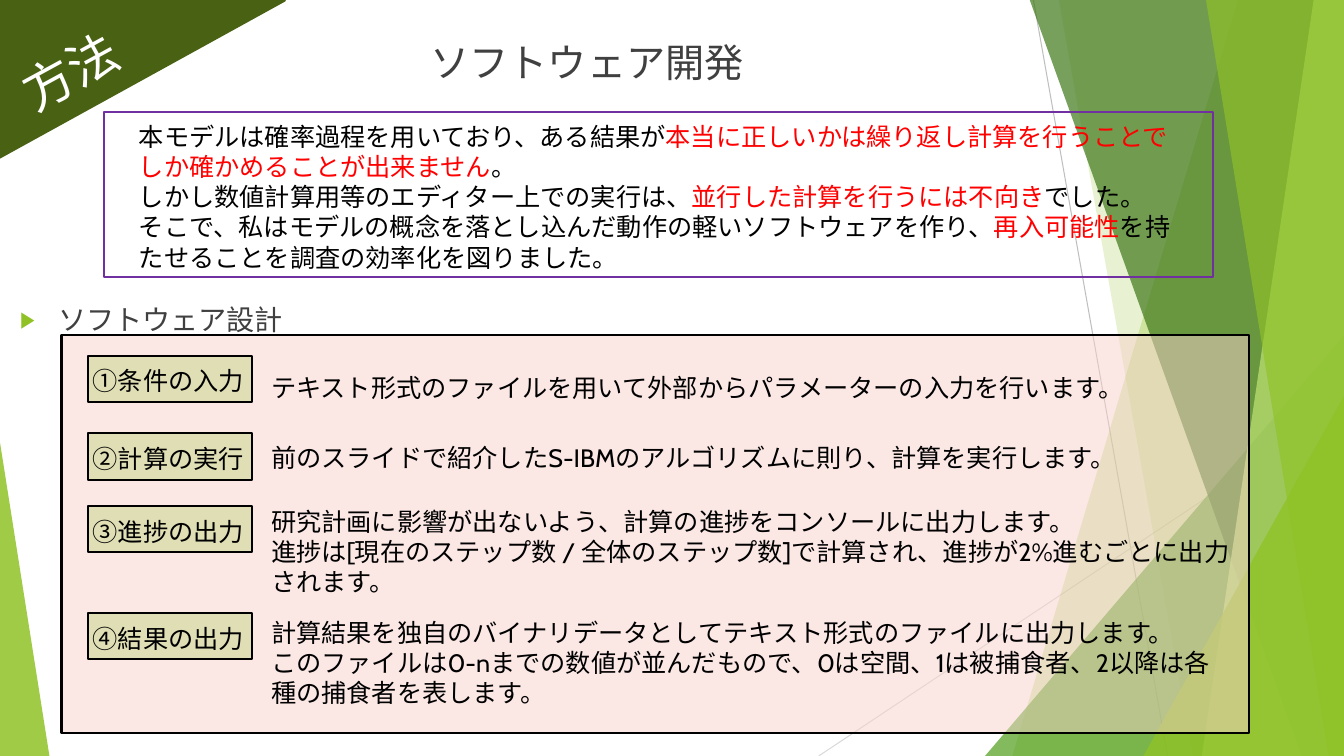
from lxml.etree import SubElement
from pptx import Presentation
from pptx.dml.color import RGBColor
from pptx.enum.shapes import MSO_CONNECTOR, MSO_SHAPE
from pptx.enum.text import MSO_ANCHOR, MSO_AUTO_SIZE, PP_ALIGN
from pptx.oxml.ns import qn
from pptx.util import Inches, Pt

BLACK, RED, WHITE, GREY = "000000", "FF0000", "FFFFFF", "404040"
LIME, OLIVE, PURPLE, PINK = "90C226", "486113", "7030A0", "F8D2CC"
JAPANESE, LATIN = "Noto Sans CJK JP", "Cabin"

TOP, BOTTOM, RIGHT = -0.01, 7.5, 13.33
FACETS = [
    (12.28, 10.04, LIME, 30),
    (10.5, 11.83, LIME, 20),
    (10.21, 12.91, "3F7819", 70),
    (13.03, 11.92, "C0E474", 70),
    (11.96, 13.18, LIME, 65),
]
CORNERS = [
    ((9.77, 3.33, 3.56, 4.17), 1, "54A021", 72),
    ((11.34, 3.93, 1.99, 3.57), 1, LIME, 80),
    ((0, 4.39, 0.49, 3.11), 0, LIME, 85),
]
SUMMARY = [
    [("本モデルは確率過程を用いており、ある結果が", BLACK),
     ("本当に正しいかは繰り返し計算を行うことでしか確かめることが出来ません", RED),
     ("。", BLACK)],
    [("しかし数値計算用等のエディター上での実行は、", BLACK),
     ("並行した計算を行うには不向き", RED), ("でした。", BLACK)],
    [("そこで、私はモデルの概念を落とし込んだ動作の軽いソフトウェアを作り、", BLACK),
     ("再入可能性", RED),
     ("を持たせることを調査の効率化を図りました。", BLACK)],
]
STEPS = [
    (3.53, "①条件の入力", 3.64, 0.4,
     ["テキスト形式のファイルを用いて外部からパラメーターの入力を行います。"]),
    (4.3, "②計算の実行", 4.34, 0.4,
     ["前のスライドで紹介したS-IBMのアルゴリズムに則り、計算を実行します。"]),
    (5.02, "③進捗の出力", 4.97, 1.01,
     ["研究計画に影響が出ないよう、計算の進捗をコンソールに出力します。",
      "進捗は[現在のステップ数 / 全体のステップ数]で計算され、進捗が2%進むごとに出力されます。"]),
    (6.08, "④結果の出力", 6.07, 1.01,
     ["計算結果を独自のバイナリデータとしてテキスト形式のファイルに出力します。",
      "このファイルは0-nまでの数値が並んだもので、0は空間、1は被捕食者、2以降は各種の捕食者を表します。"]),
]


def rgb(color):
    return RGBColor.from_string(color)


def paint(shape, fill=None, opacity=100, line=None):
    shape.shadow.inherit = False
    if fill:
        shape.fill.solid()
        shape.fill.fore_color.rgb = rgb(fill)
        if opacity < 100:
            tint = shape.fill._xPr.find(qn("a:solidFill"))[0]
            SubElement(tint, qn("a:alpha"), val=str(opacity * 1000))
    else:
        shape.fill.background()
    if line:
        shape.line.color.rgb = rgb(line)
        shape.line.width = Pt(1.5)
    else:
        shape.line.fill.background()


def add_box(slide, box, **look):
    rect = slide.shapes.add_shape(MSO_SHAPE.RECTANGLE, *map(Inches, box))
    paint(rect, **look)


def add_triangle(slide, box, apex, rotation=0, **look):
    triangle = slide.shapes.add_shape(MSO_SHAPE.ISOSCELES_TRIANGLE, *map(Inches, box))
    triangle.adjustments[0] = apex
    triangle.rotation = rotation
    paint(triangle, **look)


def add_facet(slide, top_x, bottom_x, color, opacity):
    outline = [(top_x, TOP), (RIGHT, TOP), (RIGHT, BOTTOM), (bottom_x, BOTTOM)]
    start, *others = [(Inches(x), Inches(y)) for x, y in outline]
    builder = slide.shapes.build_freeform(*start)
    builder.add_line_segments(others, close=True)
    paint(builder.convert_to_shape(), color, opacity)


def add_hairline(slide, ends, color):
    hairline = slide.shapes.add_connector(MSO_CONNECTOR.STRAIGHT, *map(Inches, ends))
    hairline.line.color.rgb = rgb(color)
    hairline.line.width = Pt(0.75)
    SubElement(hairline._element.spPr, qn("a:effectLst"))


def style(paragraph, font, size, color=None):
    paragraph.font.name = font
    paragraph.font.size = Pt(size)
    if color:
        paragraph.font.color.rgb = rgb(color)


def add_text(slide, box, paragraphs, font=LATIN, size=18, color=BLACK, rotation=0):
    holder = slide.shapes.add_textbox(*map(Inches, box))
    holder.rotation = rotation
    frame = holder.text_frame
    frame.word_wrap = True
    for index, content in enumerate(paragraphs):
        paragraph = frame.add_paragraph() if index else frame.paragraphs[0]
        if isinstance(content, str):
            paragraph.text = content
            style(paragraph, font, size, color)
            continue
        style(paragraph, font, size)
        for words, run_color in content:
            run = paragraph.add_run()
            run.text = words
            run.font.color.rgb = rgb(run_color)


def fill_placeholder(holder, box, words, size, spacing, anchor, bullet=False):
    holder.left, holder.top, holder.width, holder.height = map(Inches, box)
    frame = holder.text_frame
    frame.text = words
    frame.word_wrap = True
    frame.auto_size = MSO_AUTO_SIZE.NONE
    frame.vertical_anchor = anchor
    paragraph = frame.paragraphs[0]
    if bullet:
        add_bullet(paragraph)
    paragraph.alignment = PP_ALIGN.LEFT
    paragraph.line_spacing = spacing
    paragraph.space_before = Pt(0)
    style(paragraph, JAPANESE, size, GREY)


def add_bullet(paragraph):
    properties = paragraph._p.get_or_add_pPr()
    properties.set("marL", str(Inches(0.38)))
    properties.set("indent", str(Inches(-0.38)))
    SubElement(SubElement(properties, qn("a:buClr")), qn("a:srgbClr"), val=LIME)
    SubElement(properties, qn("a:buSzPct"), val="80000")
    SubElement(properties, qn("a:buChar"), char="▶")


def add_backdrop(slide):
    add_hairline(slide, (10.25, 0, 11.58, BOTTOM), "BFBFBF")
    add_hairline(slide, (RIGHT, 4.03, 8.12, BOTTOM), "D9D9D9")
    for facet in FACETS[:2]:
        add_facet(slide, *facet)
    lower, *front = CORNERS
    add_triangle(slide, lower[0], lower[1], fill=lower[2], opacity=lower[3])
    for facet in FACETS[2:]:
        add_facet(slide, *facet)
    for box, apex, color, opacity in front:
        add_triangle(slide, box, apex, fill=color, opacity=opacity)


def add_step(slide, tag_top, tag, text_top, text_height, lines):
    add_box(slide, (0.87, tag_top, 1.63, 0.46), fill=LIME, opacity=25, line=BLACK)
    add_text(slide, (0.82, tag_top + 0.05, 1.72, 0.4), [tag])
    add_text(slide, (2.59, text_top, 9.72, text_height), lines)


def main():
    deck = Presentation()
    deck.slide_width, deck.slide_height = Inches(RIGHT), Inches(BOTTOM)
    slide = deck.slides.add_slide(deck.slide_layouts[1])
    fill_placeholder(slide.shapes.title, (4.17, 0.12, 3.49, 0.76),
                     "ソフトウェア開発", 28, 1.5, MSO_ANCHOR.MIDDLE)
    fill_placeholder(slide.placeholders[1], (0.1, 2.85, 3.01, 0.7),
                     "ソフトウェア設計", 20.1, 1.3, MSO_ANCHOR.TOP, bullet=True)
    add_backdrop(slide)
    add_box(slide, (1.03, 1.11, 11, 1.64), line=PURPLE)
    add_text(slide, (1.28, 1.15, 10.44, 1.62), SUMMARY, font=JAPANESE)
    add_triangle(slide, (0.63, -0.63, 1.56, 2.83), 0, rotation=90, fill=OLIVE, line=OLIVE)
    add_text(slide, (0.1, 0.34, 1.23, 0.71), ["方法"], "Arial", 36, WHITE, 331.4)
    add_box(slide, (0.61, 3.32, 11.78, 3.95), fill=PINK, opacity=50, line=BLACK)
    for step in STEPS:
        add_step(slide, *step)
    deck.save("out.pptx")


if __name__ == "__main__":
    main()
